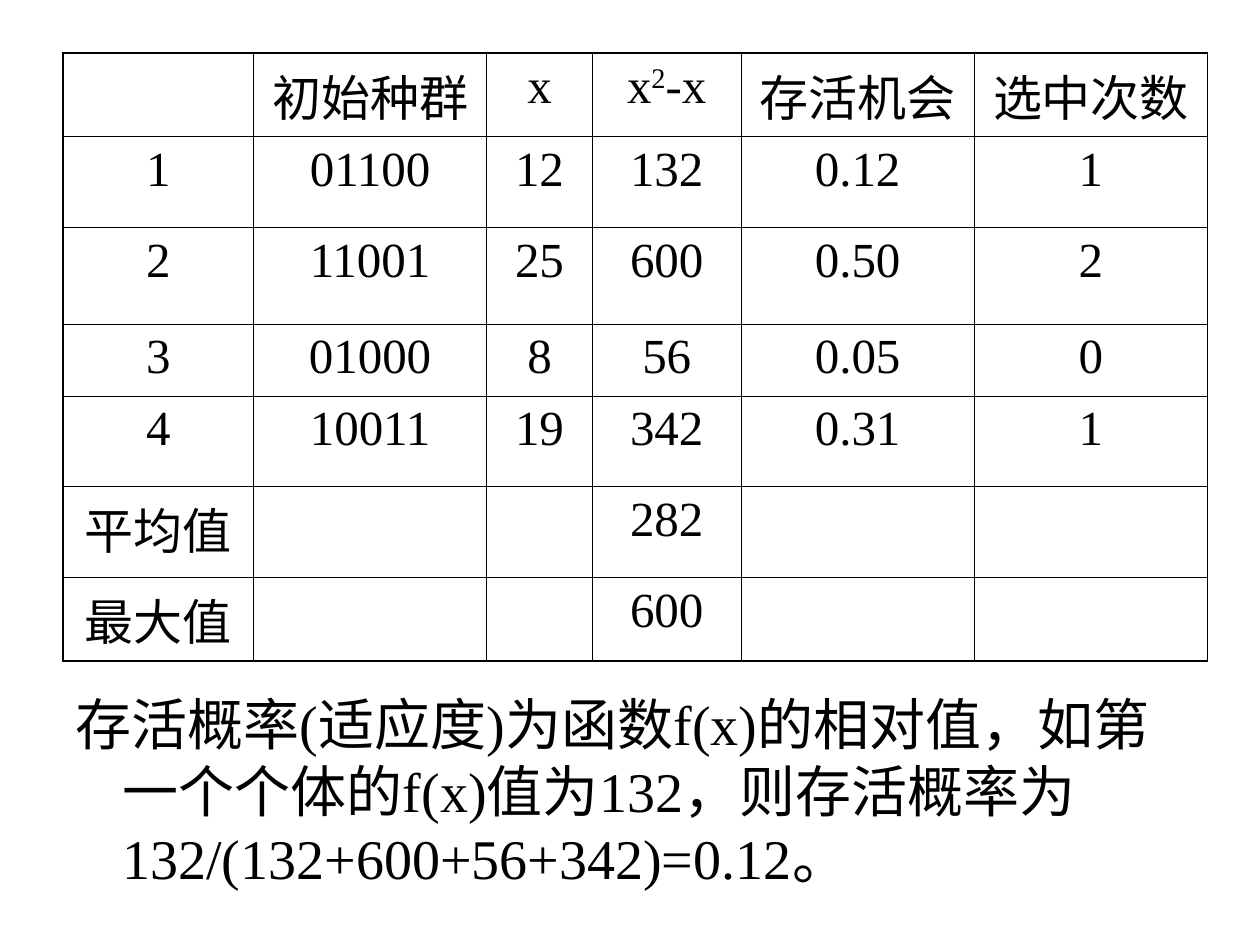
from lxml.etree import SubElement
from pptx import Presentation
from pptx.dml.color import RGBColor
from pptx.enum.text import PP_ALIGN
from pptx.oxml.ns import qn
from pptx.util import Cm, Pt

COLOURS = {"ink": "000000", "rule": "000000"}
CHINESE_FONT, LATIN_FONT = "Arial", "Times New Roman"
THIN, THICK = 0.45, 1.08

COLUMN_WIDTHS = [3.84, 4.7, 2.13, 3, 4.7, 4.7]
ROW_HEIGHTS = [1.68, 1.83, 1.95, 1.45, 1.83, 1.83, 1.68]
HEADINGS = ["", "初始种群", "x", "x²-x", "存活机会", "选中次数"]
POPULATION = [
    ["1", "01100", "12", "132", "0.12", "1"],
    ["2", "11001", "25", "600", "0.50", "2"],
    ["3", "01000", "8", "56", "0.05", "0"],
    ["4", "10011", "19", "342", "0.31", "1"],
    ["平均值", "", "", "282", "", ""],
    ["最大值", "", "", "600", "", ""],
]
EXPLANATION = [
    ("存活概率", CHINESE_FONT),
    ("(适应度)为函数f(x)的相对值，如第一个个体的f(x)值为132，"
     "则存活概率为132/(132+600+56+342)=0.12。", LATIN_FONT),
]


def add_run(paragraph, text, font_name, size, raised=False):
    """Append one formatted run, optionally as a superscript."""
    run = paragraph.add_run()
    run.text = text
    run.font.name = font_name
    run.font.size = Pt(size)
    run.font.color.rgb = RGBColor.from_string(COLOURS["ink"])
    if raised:
        run.font._element.set("baseline", "30000")


def set_borders(cell, widths):
    """Draw the cell's left, right, top and bottom lines."""
    properties = cell._tc.get_or_add_tcPr()
    for side, width in zip("LRTB", widths):
        line = SubElement(properties, qn(f"a:ln{side}"), w=str(Pt(width)))
        fill = SubElement(line, qn("a:solidFill"))
        SubElement(fill, qn("a:srgbClr"), val=COLOURS["rule"])


def fill_cell(cell, text, is_heading):
    """Write centred cell text, raising the exponent of a formula."""
    paragraph = cell.text_frame.paragraphs[0]
    paragraph.alignment = PP_ALIGN.CENTER
    paragraph.space_before = Pt(7)
    font_name = LATIN_FONT if text.isascii() or not is_heading else CHINESE_FONT
    base, exponent, rest = text.partition("²")
    if exponent:
        add_run(paragraph, base, LATIN_FONT, 28)
        add_run(paragraph, "2", LATIN_FONT, 28, raised=True)
        add_run(paragraph, rest, LATIN_FONT, 28)
    elif text:
        add_run(paragraph, text, font_name, 28)


def add_population_table(slide):
    """Add the ruled table of individuals with a heavier outer frame."""
    rows = [HEADINGS, *POPULATION]
    last_row, last_column = len(rows) - 1, len(HEADINGS) - 1
    population = slide.shapes.add_table(
        len(rows), len(HEADINGS), Cm(1.27), Cm(1.07),
        Cm(sum(COLUMN_WIDTHS)), Cm(sum(ROW_HEIGHTS))).table
    population.first_row = population.horz_banding = False
    for column, width in zip(population.columns, COLUMN_WIDTHS):
        column.width = Cm(width)
    for row, height in zip(population.rows, ROW_HEIGHTS):
        row.height = Cm(height)
    for r, values in enumerate(rows):
        for c, value in enumerate(values):
            cell = population.cell(r, c)
            outer_sides = (c == 0, c == last_column, r == 0, r == last_row)
            set_borders(cell, [THICK if outer else THIN for outer in outer_sides])
            cell.fill.background()
            fill_cell(cell, value, r == 0)


def add_explanation(slide):
    """Add the hanging paragraph that explains the survival chance."""
    frame = slide.shapes.add_textbox(
        Cm(1.27), Cm(13.77), Cm(22.66), Cm(4.45)).text_frame
    frame.word_wrap = True
    paragraph = frame.paragraphs[0]
    paragraph.space_before = Pt(8)
    properties = paragraph._p.get_or_add_pPr()
    properties.set("marL", str(Cm(0.95)))
    properties.set("indent", str(-Cm(0.95)))
    for text, font_name in EXPLANATION:
        add_run(paragraph, text, font_name, 32)


def main():
    """Build and save the slide."""
    presentation = Presentation()
    presentation.slide_width, presentation.slide_height = Cm(25.4), Cm(19.05)
    slide = presentation.slides.add_slide(presentation.slide_layouts[6])
    add_explanation(slide)
    add_population_table(slide)
    presentation.save("out.pptx")


if __name__ == "__main__":
    main()
